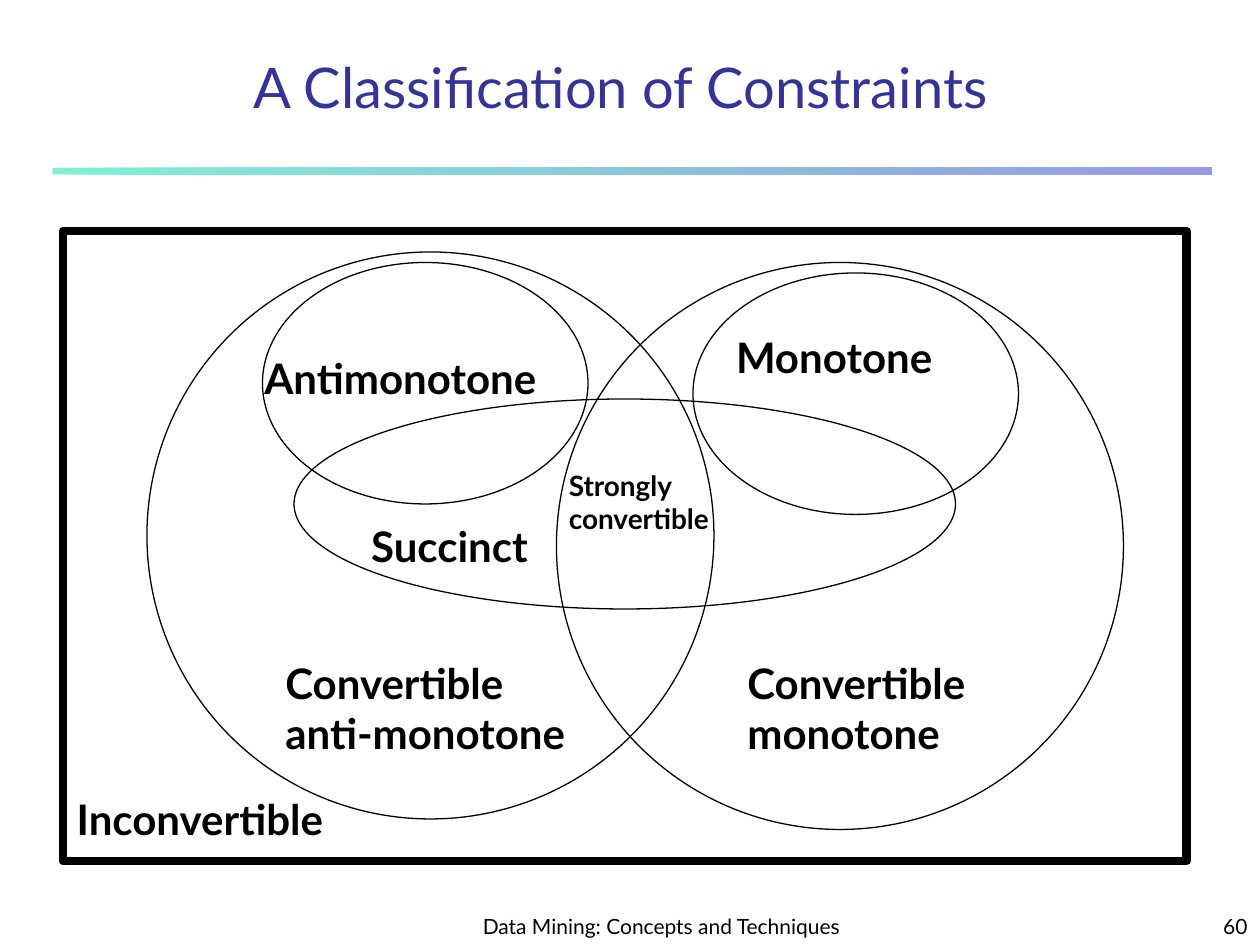
import pptx
import pptx.dml.color
import pptx.enum.shapes
import pptx.enum.text
import pptx.oxml.ns
import pptx.util
from dataclasses import dataclass
from lxml import etree

Pt = pptx.util.Pt
RGB = pptx.dml.color.RGBColor.from_string
SHAPE = pptx.enum.shapes.MSO_SHAPE
ALIGN = pptx.enum.text.PP_ALIGN
ANCHOR = pptx.enum.text.MSO_ANCHOR
qn = pptx.oxml.ns.qn


@dataclass(frozen=True)
class Theme:
    font: str = "Lato"
    ink: str = "000000"
    title: str = "333399"
    rule: tuple = ("00E4A8", "3333CC")
    title_size: int = 32
    label_size: int = 24
    small_size: int = 16
    footer_size: int = 12


theme = Theme()


def write(tf, text, size, color=theme.ink, bold=False, align=ALIGN.LEFT, anchor=ANCHOR.TOP):
    """Fill a text frame, one paragraph for each line of text."""
    tf.word_wrap = True
    tf.vertical_anchor = anchor
    tf.text = text
    for p in tf.paragraphs:
        p.alignment = align
        p.font.name = theme.font
        p.font.size = Pt(size)
        p.font.bold = bold
        p.font.color.rgb = RGB(color)


def add_shape(kind, box):
    sp = s.shapes.add_shape(kind, *map(Pt, box))
    sp.shadow.inherit = False
    return sp


prs = pptx.Presentation()
prs.slide_width, prs.slide_height = Pt(720), Pt(540)
s = prs.slides.add_slide(prs.slide_layouts[5])

# Title and the rule below it
title = s.shapes.title
title.left, title.top, title.width, title.height = map(Pt, (48, 24, 613.5, 48))
write(title.text_frame, "A Classification of Constraints", theme.title_size,
      color=theme.title, align=ALIGN.CENTER, anchor=ANCHOR.BOTTOM)

rule = add_shape(SHAPE.RECTANGLE, (30, 96, 662.5, 3.75))
rule.line.fill.background()
rule.fill.gradient()
rule.fill.gradient_angle = 0
for stop, color, position in zip(rule.fill.gradient_stops, theme.rule, (0, 1)):
    stop.position = position
    stop.color.rgb = RGB(color)
for clr in rule.fill._xPr.iter(qn("a:srgbClr")):
    etree.SubElement(clr, qn("a:alpha"), val="50000")

# Frame and overlapping classes: shape, box, line width
outlines = [
    (SHAPE.RECTANGLE, (36, 132, 642, 360), 5),
    (SHAPE.OVAL, (84, 144, 324, 324), 0.75),
    (SHAPE.OVAL, (318, 150, 324, 324), 0.75),
    (SHAPE.OVAL, (168, 228, 378, 120), 0.75),
    (SHAPE.OVAL, (396, 156, 186, 138), 0.75),
    (SHAPE.OVAL, (150, 150, 186, 138), 0.75),
]
for kind, box, width in outlines:
    sp = add_shape(kind, box)
    sp.fill.background()
    sp.line.color.rgb = RGB(theme.ink)
    sp.line.width = Pt(width)

# Labels and footer: text, box, format
label = dict(size=theme.label_size, bold=True)
small = dict(size=theme.small_size, bold=True)
footer = dict(size=theme.footer_size, anchor=ANCHOR.BOTTOM)
texts = [
    ("Convertible\nanti-monotone", (156, 372, 194, 65), label),
    ("Convertible\nmonotone", (420, 372, 153, 65), label),
    ("Strongly\nconvertible", (318, 264, 120, 46), small),
    ("Inconvertible", (36.75, 450, 176, 36), label),
    ("Succinct", (205, 294, 114, 36), label),
    ("Antimonotone", (144, 198, 186, 65), label),
    ("Monotone", (413.5, 186, 137.5, 36), label),
    ("Data Mining: Concepts and Techniques", (264, 510, 228, 30),
     dict(footer, align=ALIGN.CENTER)),
    ("60", (570, 510, 150, 30), dict(footer, align=ALIGN.RIGHT)),
]
for text, box, style in texts:
    write(s.shapes.add_textbox(*map(Pt, box)).text_frame, text, **style)

prs.save("out.pptx")
